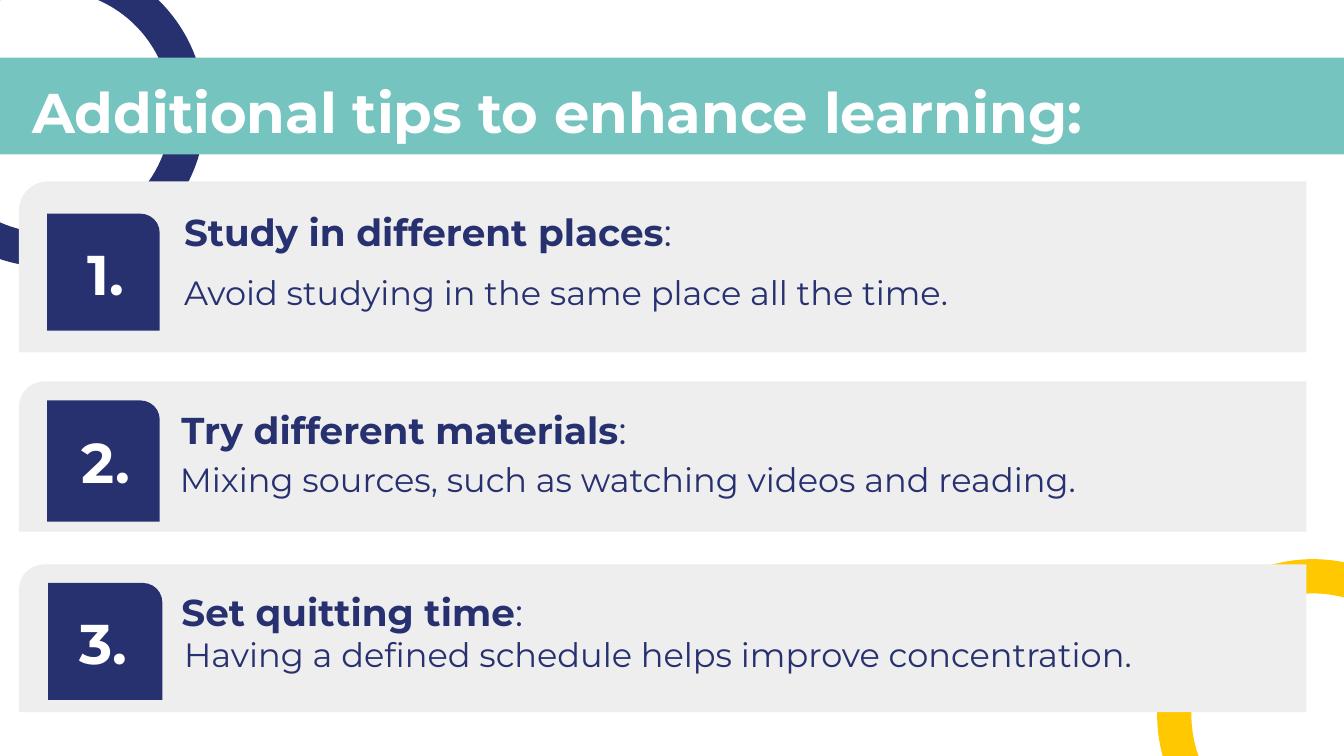
import pptx
import pptx.util
import pptx.dml.color
import pptx.enum.shapes
import pptx.enum.text
import pptx.oxml.ns

Cm = pptx.util.Cm
Kind = pptx.enum.shapes.MSO_SHAPE
Anchor = pptx.enum.text.MSO_ANCHOR
Align = pptx.enum.text.PP_ALIGN

title = "Additional tips to enhance learning:"
tips = [
    dict(head="Study in different places", body="Avoid studying in the same place all the time.",
         panel=(3.43, 3.23), tile=(0.89, 4.04, 2.13, 2.21), num=(1.09, 4.52),
         top=(3.23, 4.06), low=(3.23, 4.9)),
    dict(head="Try different materials", body="Mixing sources, such as watching videos and reading.",
         panel=(7.21, 2.84), tile=(0.89, 7.57, 2.13, 2.29), num=(1.09, 8.08),
         top=(3.18, 7.8), low=(3.15, 8.43)),
    dict(head="Set quitting time", body="Having a defined schedule helps improve concentration.",
         panel=(10.67, 2.79), tile=(0.91, 11.02, 2.16, 2.21), num=(1.04, 11.51),
         top=(3.18, 11.25), low=(3.23, 11.73)),
]

theme = dict(font="Montserrat", navy="27316F", teal="75C4C0", gold="FFC800",
             grey="EEEEEE", white="FFFFFF", large=30, head=20, body=18)

deck = pptx.Presentation()
deck.slide_width, deck.slide_height = Cm(25.4), Cm(14.29)
slide = deck.slides.add_slide(deck.slide_layouts[6])


def tint(name):
    return pptx.dml.color.RGBColor.from_string(theme[name])


def draw(kind, box, fill, adj=None, flip=False):
    shape = slide.shapes.add_shape(kind, *map(Cm, box))
    shape.shadow.inherit = False
    shape.fill.solid()
    shape.fill.fore_color.rgb = tint(fill)
    shape.line.fill.background()
    if adj is not None:
        shape.adjustments[0] = adj
    if flip:
        shape.element.spPr.find(pptx.oxml.ns.qn("a:xfrm")).set("flipH", "1")


def write(text, box, size="large", color="white", bold=True, tail="",
          anchor=Anchor.TOP, align=Align.LEFT):
    frame = slide.shapes.add_textbox(*map(Cm, box)).text_frame
    frame.word_wrap = True
    frame.vertical_anchor = anchor
    frame.margin_left = frame.margin_right = Cm(0.25)
    frame.margin_top = frame.margin_bottom = Cm(0.25)
    line = frame.paragraphs[0]
    line.alignment = align
    for part, heavy in ((text, bold), (tail, False)):
        if part:
            run = line.add_run()
            run.text = part
            run.font.name = theme["font"]
            run.font.size = pptx.util.Pt(theme[size])
            run.font.bold = heavy
            run.font.color.rgb = tint(color)


for left, top, fill in ((-2.01, -0.84, "navy"), (21.87, 10.57, "gold")):
    draw(Kind.DONUT, (left, top, 5.89, 5.89), fill, adj=0.11)
draw(Kind.RECTANGLE, (-0.43, 1.09, 26.26, 1.83), "teal")
write(title, (0.36, 1.22, 21.49, 1.6))

for count, tip in enumerate(tips, 1):
    top, high = tip["panel"]
    draw(Kind.ROUND_1_RECTANGLE, (0.36, top, 24.33, high), "grey", adj=0.17, flip=True)
    draw(Kind.ROUND_1_RECTANGLE, tip["tile"], "navy", adj=0.17)
    write(f"{count}.", (*tip["num"], 1.83, 1.27), anchor=Anchor.MIDDLE, align=Align.CENTER)
    write(tip["head"], (*tip["top"], 12.47, 0.99), size="head", color="navy",
          tail=":", anchor=Anchor.BOTTOM)
    write(tip["body"], (*tip["low"], 21.46, 1.8), size="body", color="navy", bold=False)

deck.save("out.pptx")
